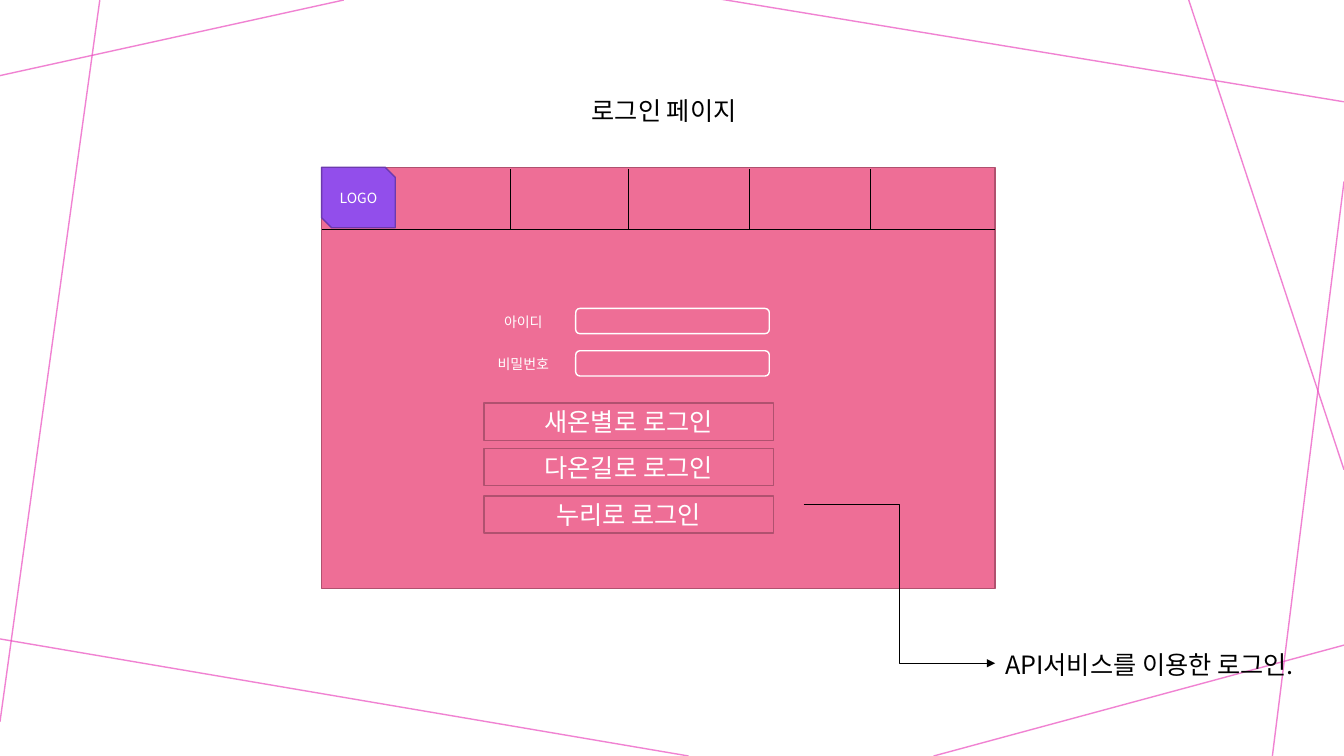
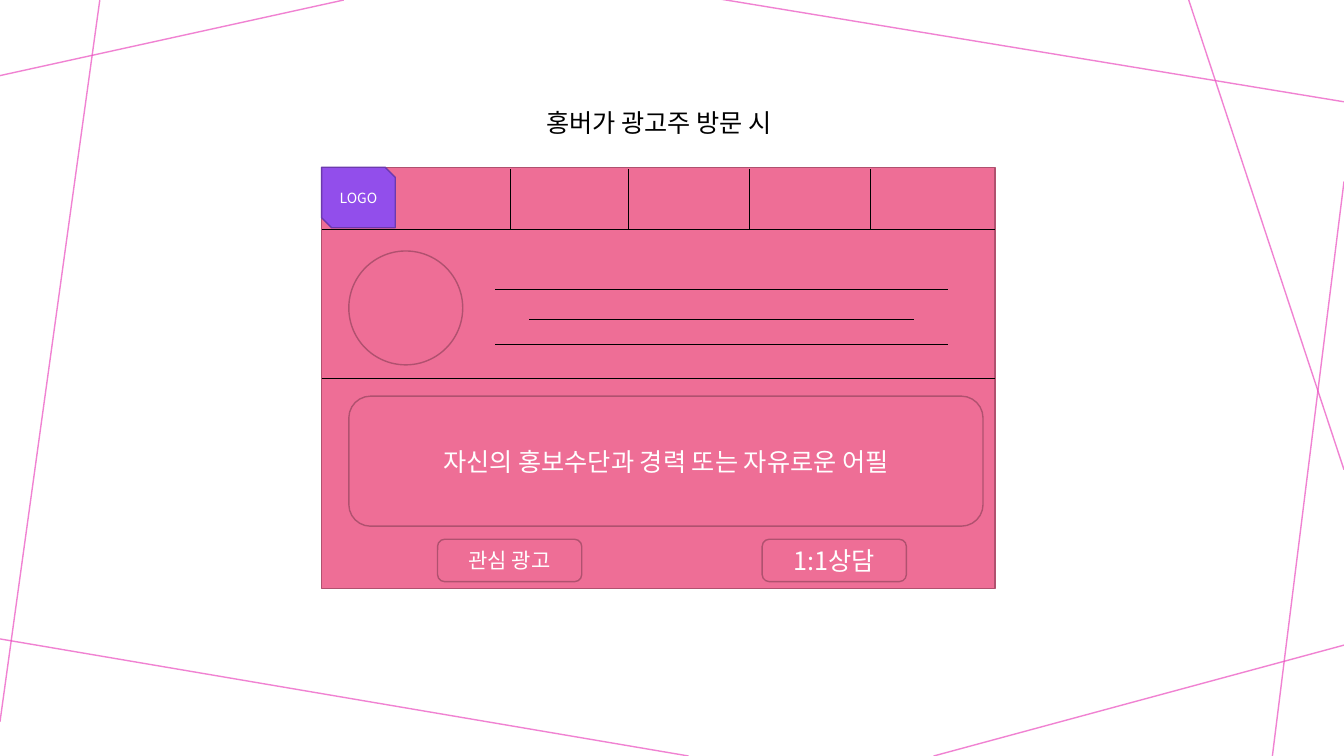
from lxml import etree
from pptx import Presentation
from pptx.dml.color import RGBColor
from pptx.enum.shapes import MSO_CONNECTOR, MSO_SHAPE
from pptx.enum.text import MSO_ANCHOR, MSO_AUTO_SIZE, PP_ALIGN
from pptx.oxml.ns import qn
from pptx.util import Inches, Pt

RECT, ROUND = MSO_SHAPE.RECTANGLE, MSO_SHAPE.ROUNDED_RECTANGLE
SNIPPED, CIRCLE = MSO_SHAPE.SNIP_2_DIAG_RECTANGLE, MSO_SHAPE.FLOWCHART_CONNECTOR
STRAIGHT, ELBOW = MSO_CONNECTOR.STRAIGHT, MSO_CONNECTOR.ELBOW
CENTER, MIDDLE = PP_ALIGN.CENTER, MSO_ANCHOR.MIDDLE
GROW = MSO_AUTO_SIZE.SHAPE_TO_FIT_TEXT

FONT = "Noto Sans CJK KR"
BLACK, WHITE = "000000", "FFFFFF"
PINK, PINK_EDGE = "EE6E96", "B0516F"
PURPLE, PURPLE_EDGE = "924EEB", "6C3AAE"
MAGENTA = "EB4EC0"

BACKGROUND_LINES = [
    (3.41, 0, 0, 0.75), (0.99, 0, 0, 7.16), (6.83, 7.5, -0.05, 6.33),
    (13.33, 6.4, 9.26, 7.5), (13.33, 1.8, 12.62, 7.5),
    (13.33, 4.66, 11.79, 0), (13.33, 1.01, 7.14, -0.01),
]

# Page frame shared by both screens
LEFT, TOP, WIDTH, HEIGHT = 3.19, 1.66, 6.68, 4.18
RIGHT = LEFT + WIDTH
MENU_TOP, MENU_BOTTOM = 1.68, 2.28
MENU_DIVIDERS = [5.06, 6.23, 7.43, 8.63]

LOGIN_TITLE = ("로그인 페이지", 5.77, 0.9, 1.79)
LOGIN_FIELDS = ["아이디", "비밀번호"]
FIELD_TOP, FIELD_STEP = 3.06, 0.42
LOGIN_BUTTONS = [("새온별로 로그인", 4), ("다온길로 로그인", 4.45), ("누리로 로그인", 4.92)]
LOGIN_NOTE = ("API서비스를 이용한 로그인.", 9.87, 6.39, 3.31)
NOTE_ARROW = (7.97, 5, 9.87, 6.58)

VISIT_TITLE = ("홍버가 광고주 방문 시", 5.32, 1.02, 2.69)
PROFILE_LINES = [(4.91, 9.4, 2.87), (5.25, 9.07, 3.17), (4.91, 9.4, 3.42)]
PROFILE_BOTTOM = 3.75
APPEAL = "자신의 홍보수단과 경력 또는 자유로운 어필"
VISIT_BUTTONS = [("관심 광고", 4.34, 15), ("1:1상담", 7.56, 18)]


def rgb(color):
    return RGBColor.from_string(color)


def write(frame, text, size=18, color=WHITE, align=None):
    paragraph = frame.paragraphs[0]
    paragraph.alignment = align
    run = paragraph.add_run()
    run.text = text
    run.font.size = Pt(size)
    run.font.name = FONT
    run.font.color.rgb = rgb(color)
    east_asian = etree.SubElement(run.font._element, qn("a:ea"))
    east_asian.set("typeface", FONT)


def add_box(slide, kind, left, top, width, height, text="", size=18,
            fill=PINK, edge=PINK_EDGE):
    box = slide.shapes.add_shape(
        kind, Inches(left), Inches(top), Inches(width), Inches(height))
    box.shadow.inherit = False
    box.fill.solid()
    box.fill.fore_color.rgb = rgb(fill)
    if edge:
        box.line.color.rgb = rgb(edge)
        box.line.width = Pt(1)
    else:
        box.line.fill.background()
    if text:
        box.text_frame.vertical_anchor = MIDDLE
        write(box.text_frame, text, size, align=CENTER)
    return box


def add_caption(slide, text, left, top, width):
    """Add black text in a box that grows with its single line."""
    caption = slide.shapes.add_textbox(
        Inches(left), Inches(top), Inches(width), Inches(0.4))
    caption.text_frame.word_wrap = False
    caption.text_frame.auto_size = GROW
    write(caption.text_frame, text, color=BLACK)


def add_line(slide, x1, y1, x2, y2, color=BLACK, width=0.5, kind=STRAIGHT):
    line = slide.shapes.add_connector(
        kind, Inches(x1), Inches(y1), Inches(x2), Inches(y2))
    line.line.color.rgb = rgb(color)
    line.line.width = Pt(width)
    etree.SubElement(line.element.spPr, qn("a:effectLst"))
    return line


def add_background(prs, slide):
    """Draw the translucent lines, then move them to the slide master."""
    for shape_id, ends in enumerate(BACKGROUND_LINES, start=101):
        line = add_line(slide, *ends, color=MAGENTA, width=1).element
        color = line.spPr.find(".//" + qn("a:srgbClr"))
        etree.SubElement(color, qn("a:alpha")).set("val", "70000")
        line.find(".//" + qn("p:cNvPr")).set("id", str(shape_id))
        prs.slide_master.shapes.element.append(line)


def add_page_frame(slide):
    add_box(slide, RECT, LEFT, TOP, WIDTH, HEIGHT)
    add_line(slide, LEFT, MENU_BOTTOM, RIGHT, MENU_BOTTOM)
    for x in MENU_DIVIDERS:
        add_line(slide, x, MENU_TOP, x, MENU_BOTTOM)
    add_box(slide, SNIPPED, LEFT, TOP, 0.73, 0.6, "LOGO", 10,
            fill=PURPLE, edge=PURPLE_EDGE)


def build_login(slide):
    add_page_frame(slide)
    for row, label in enumerate(LOGIN_FIELDS):
        top = FIELD_TOP + row * FIELD_STEP
        add_box(slide, ROUND, 5.71, top, 1.92, 0.25, edge=WHITE)
        add_box(slide, ROUND, 4.75, top + 0.03, 0.88, 0.21, label, 10, edge=None)
    for label, top in LOGIN_BUTTONS:
        add_box(slide, RECT, 4.8, top, 2.87, 0.37, label)
    arrow = add_line(slide, *NOTE_ARROW, kind=ELBOW)
    outline = arrow.element.spPr.find(qn("a:ln"))
    etree.SubElement(outline, qn("a:tailEnd")).set("type", "triangle")
    add_caption(slide, *LOGIN_NOTE)
    add_caption(slide, *LOGIN_TITLE)


def build_visit(slide):
    add_page_frame(slide)
    add_box(slide, CIRCLE, 3.46, 2.49, 1.13, 1.13)
    for start, end, y in PROFILE_LINES + [(LEFT, RIGHT, PROFILE_BOTTOM)]:
        add_line(slide, start, y, end, y)
    add_box(slide, ROUND, 3.46, 3.93, 6.29, 1.29, APPEAL)
    for label, left, size in VISIT_BUTTONS:
        add_box(slide, ROUND, left, 5.35, 1.43, 0.42, label, size)
    add_caption(slide, *VISIT_TITLE)


def main():
    prs = Presentation()
    prs.slide_width, prs.slide_height = Inches(13.33), Inches(7.5)
    blank = prs.slide_layouts[6]
    login = prs.slides.add_slide(blank)
    add_background(prs, login)
    build_login(login)
    build_visit(prs.slides.add_slide(blank))
    prs.save("out.pptx")


if __name__ == "__main__":
    main()
